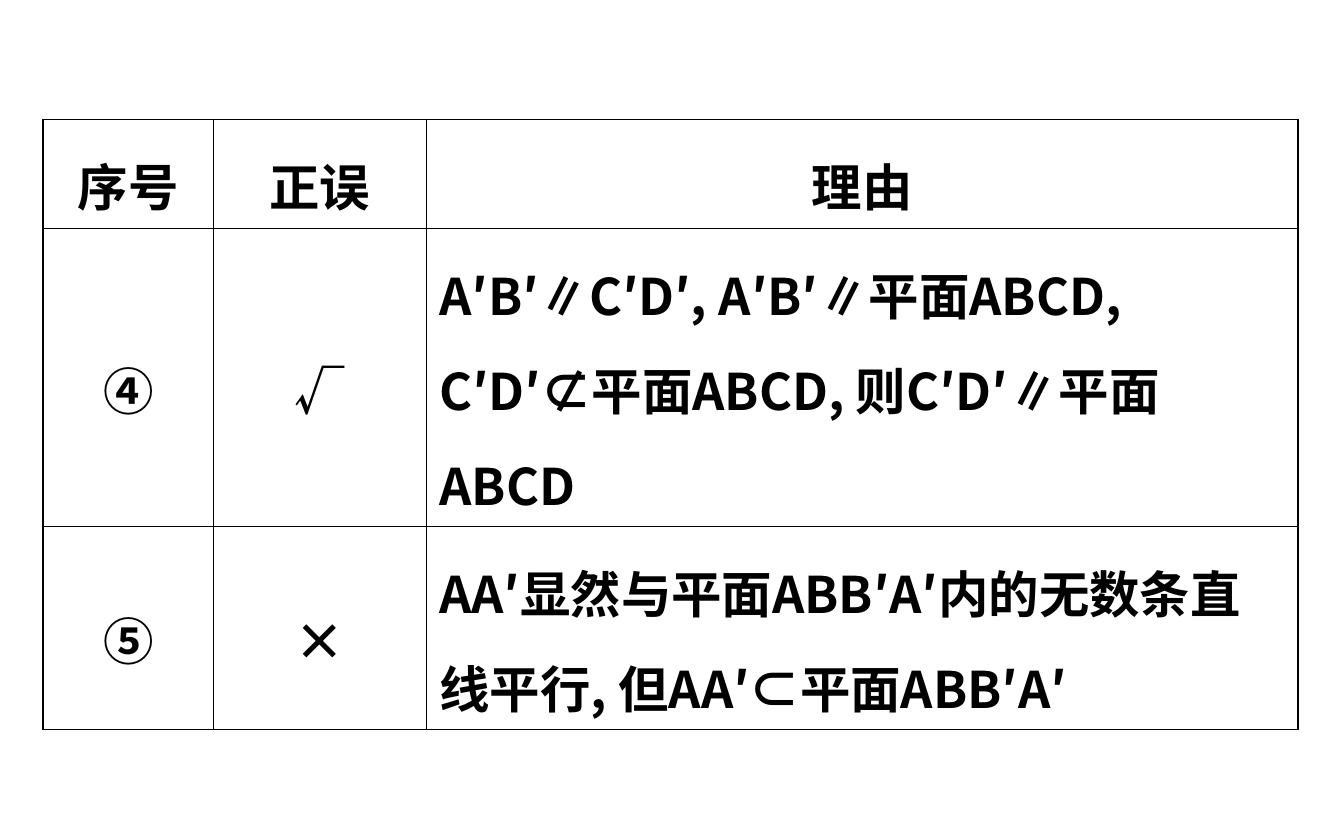
import pptx
import pptx.dml.color
import pptx.enum.text
import pptx.oxml.ns
import pptx.util
from lxml import etree

Inches = pptx.util.Inches
Pt = pptx.util.Pt
ALIGN = pptx.enum.text.PP_ALIGN

COLUMN_WIDTHS = [1.27, 1.58, 6.49]
ROW_HEIGHTS = [0.69, 1.85, 1.27]
JUDGEMENTS = [
    ["序号", "正误", "理由"],
    ["④", "√", "A′B′∥C′D′, A′B′∥平面ABCD, C′D′⊄平面ABCD, 则C′D′∥平面ABCD"],
    ["⑤", "×", "AA′显然与平面ABB′A′内的无数条直线平行, 但AA′⊂平面ABB′A′"],
]


def color(hex_value):
    return pptx.dml.color.RGBColor.from_string(hex_value)


def add_xml(parent, tag, **attributes):
    return etree.SubElement(parent, pptx.oxml.ns.qn(tag), attributes)


class Board:
    ink = "000000"
    typeface = "Noto Sans CJK SC"
    text_format = {"size": Pt(27), "bold": True, "name": typeface}
    cell_format = {
        "vertical_anchor": pptx.enum.text.MSO_ANCHOR.MIDDLE,
        "margin_left": Inches(0.1), "margin_right": Inches(0.1),
        "margin_top": Inches(0.05), "margin_bottom": Inches(0.05),
    }
    outer_line, inner_line = Pt(0.96), Pt(0.45)

    def __init__(self, slide):
        self.slide = slide

    def table(self, left, top, widths, heights, rows):
        grid = self.slide.shapes.add_table(
            len(heights), len(widths), Inches(left), Inches(top),
            Inches(sum(widths)), Inches(sum(heights))).table
        grid.first_row = grid.horz_banding = False
        for column, width in zip(grid.columns, widths):
            column.width = Inches(width)
        for row, height in zip(grid.rows, heights):
            row.height = Inches(height)
        last_row, last_column = len(heights) - 1, len(widths) - 1
        for r, texts in enumerate(rows):
            for c, text in enumerate(texts):
                cell = grid.cell(r, c)
                self.borders(cell, {"L": c == 0, "R": c == last_column,
                                    "T": r == 0, "B": r == last_row})
                is_reason = r > 0 and c == last_column
                self.cell(cell, text, ALIGN.LEFT if is_reason else ALIGN.CENTER)

    def borders(self, cell, sides):
        """Draw each side, heavier where it lies on the table's edge."""
        properties = cell._tc.get_or_add_tcPr()
        for side, is_edge in sides.items():
            width = self.outer_line if is_edge else self.inner_line
            line = add_xml(properties, f"a:ln{side}", w=str(int(width)))
            add_xml(add_xml(line, "a:solidFill"), "a:srgbClr", val=self.ink)

    def cell(self, cell, text, alignment):
        for name, value in self.cell_format.items():
            setattr(cell, name, value)
        cell.fill.background()
        paragraph = cell.text_frame.paragraphs[0]
        paragraph.alignment = alignment
        paragraph.line_spacing = 1.3
        run = paragraph.add_run()
        run.text = text
        for name, value in self.text_format.items():
            setattr(run.font, name, value)
        run.font.color.rgb = color(self.ink)
        add_xml(run._r.get_or_add_rPr(), "a:ea", typeface=self.typeface)


def main():
    deck = pptx.Presentation()
    deck.slide_width, deck.slide_height = Inches(10), Inches(6.25)
    board = Board(deck.slides.add_slide(deck.slide_layouts[6]))
    board.table(0.32, 0.89, COLUMN_WIDTHS, ROW_HEIGHTS, JUDGEMENTS)
    deck.save("out.pptx")


if __name__ == "__main__":
    main()
